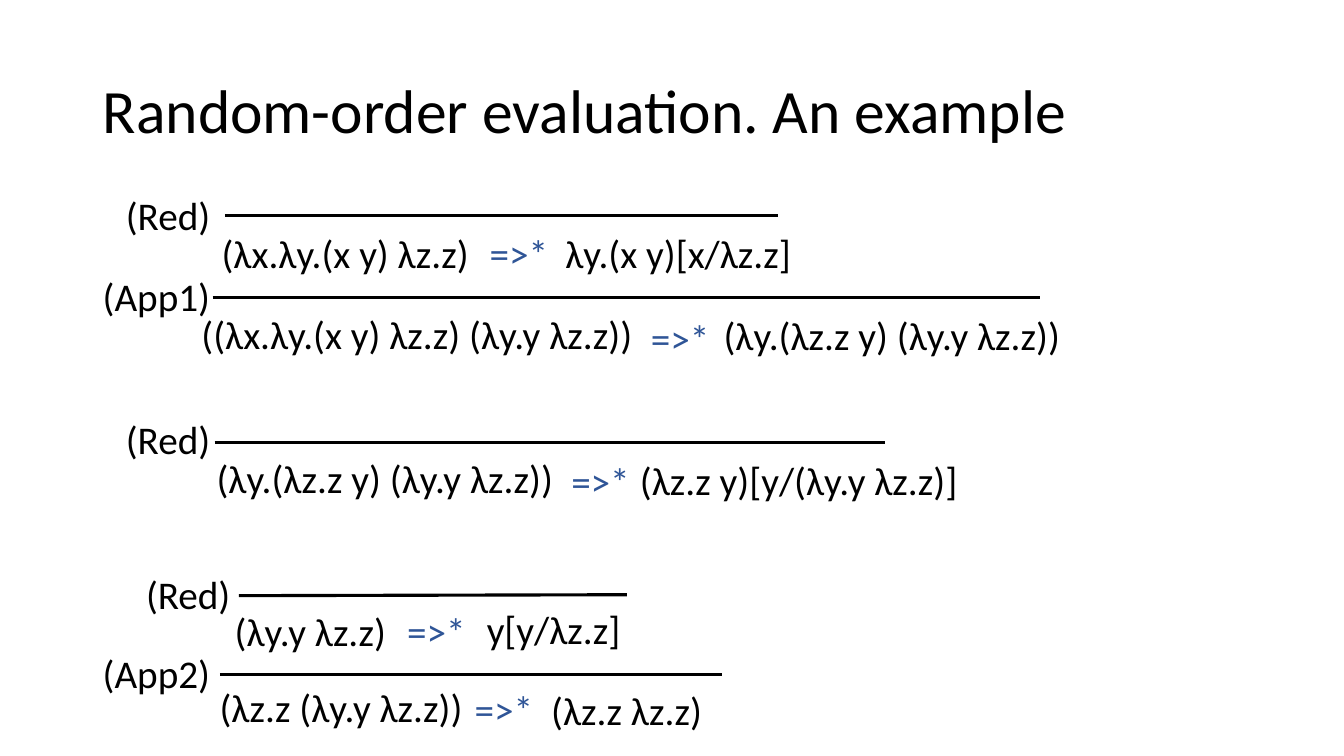
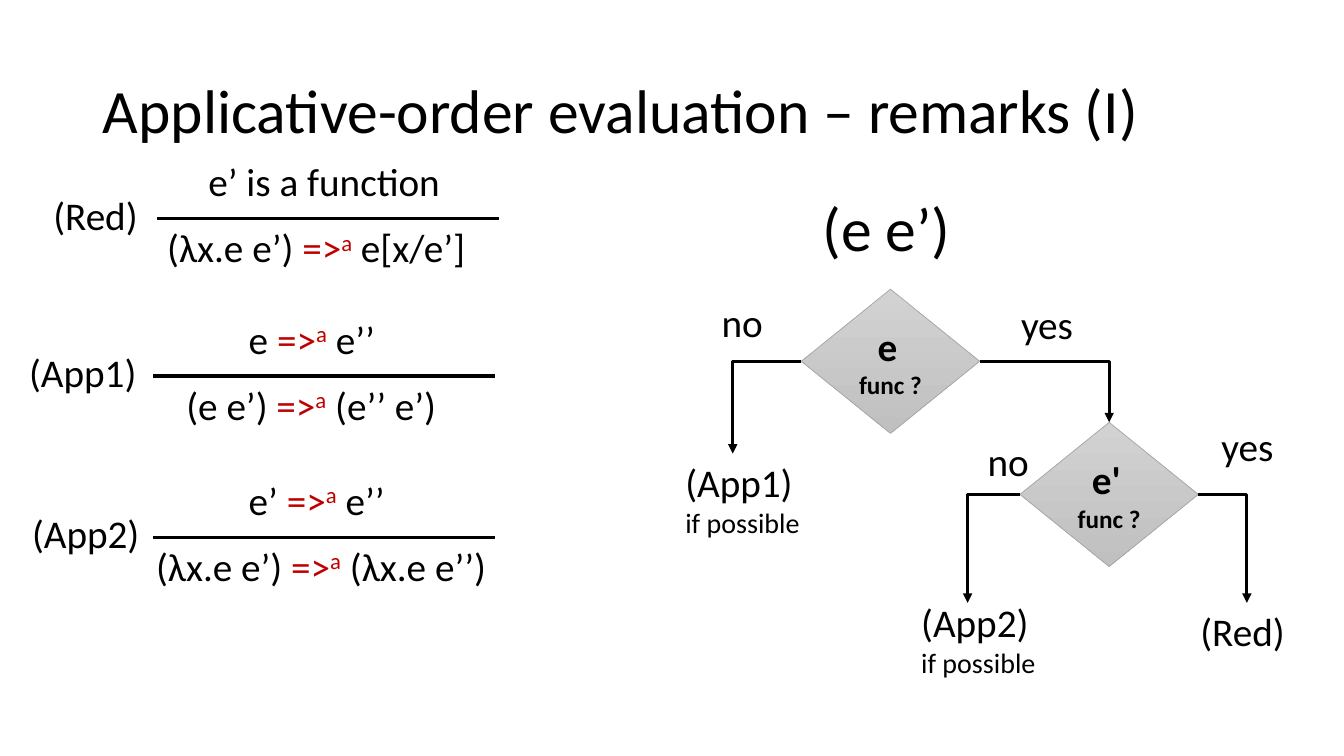
from pptx import Presentation
from pptx.dml.color import RGBColor
from pptx.enum.shapes import MSO_CONNECTOR, MSO_SHAPE
from pptx.enum.text import MSO_ANCHOR, MSO_AUTO_SIZE, PP_ALIGN
from pptx.oxml.ns import qn
from pptx.util import Pt
from lxml import etree

LEFT, CENTER = PP_ALIGN.LEFT, PP_ALIGN.CENTER
MIDDLE, GROW = MSO_ANCHOR.MIDDLE, MSO_AUTO_SIZE.SHAPE_TO_FIT_TEXT
STRAIGHT, ELBOW = MSO_CONNECTOR.STRAIGHT, MSO_CONNECTOR.ELBOW
TITLE_ONLY = 5
TOP_SITE, LEFT_SITE, RIGHT_SITE = 0, 1, 3


class Theme:
    font = "Calibri"
    ink, blue, red = "000000", "2F5597", "C00000"
    fill_top, fill_bottom, outline = "D2D2D2", "C0C0C0", "A5A5A5"
    title, body, note, small = 44, 28, 20, 18
    rule = 2.25
    title_box = (66.24, 28.8, 828, 104.4)
    line_height = 41.04


# ---- Content: all positions in points ----
RANDOM_TITLE = "Random-order evaluation. An example"
# (label, x, y), (bar x1, y1, x2, y2), (redex, x, y, w), (arrow x, y), (result, x, y, w)
DERIVATION = [
    (("(Red)", 82.8, 133.2), (160.6, 154.1, 555.8, 154.1),
     ("(λx.λy.(x y) λz.z)", 151.2, 160.6, 198), (342.7, 160.6),
     ("λy.(x y)[x/λz.z]", 396.7, 160.6, 198)),
    (("(App1)", 66.24, 190.8), (151.9, 212.4, 743, 212.4),
     ("((λx.λy.(x y) λz.z) (λy.y λz.z))", 136.8, 218.2, 328.3), (457.9, 221),
     ("(λy.(λz.z y) (λy.y λz.z))", 509.8, 218.9, 328.3)),
    (("(Red)", 82.8, 293), (153.4, 316.1, 632.2, 316.1),
     ("(λy.(λz.z y) (λy.y λz.z))", 147.6, 321.1, 277.2), (401, 323.3),
     ("(λz.z y)[y/(λy.y λz.z)]", 450, 322.6, 328.3)),
    (("(Red)", 97.2, 403.9), (170.6, 425.5, 447.8, 424.8),
     ("(λy.y λz.z)", 160.6, 430.6, 328.3), (283.7, 430.6),
     ("y[y/λz.z]", 340.6, 429.1, 115.9)),
    (("(App2)", 66.24, 460.1), (157, 481.7, 515.5, 481.7),
     ("(λz.z (λy.y λz.z))", 149.8, 484.6, 328.3), (331.9, 486),
     ("(λz.z λz.z)", 386.6, 486.7, 128.9)),
]
LABEL_W, ARROW_W = 106.6, 57.6

REMARKS_TITLE = "Applicative-order evaluation – remarks (I)"
# (label, x, w), (bar x, y), (premise, x, w), (conclusion, x, w)
# A formula is (left, right) around the step arrow, or one text.
RULES = [
    (("(Red)", 31, 87.8), (112.3, 156.2),
     (("e’ is a function",), 141.8, 185), (("(λx.e e’) ", " e[x/e’]"), 112.3, 260.6)),
    (("(App1)", 13.7, 116.6), (109.4, 268.6),
     (("e ", " e’’"), 170.6, 118.8), (("(e e’) ", " (e’’ e’)"), 126, 203)),
    (("(App2)", 15.8, 116.6), (109.4, 383.8),
     (("e’ ", " e’’"), 170.6, 118.8), (("(λx.e e’) ", " (λx.e e’’)"), 104.4, 286.6)),
]
BAR_W, LABEL_RISE, PREMISE_RISE = 244.1, 23.2, 47

# (text, x, y)
DECISIONS = [("e", 572.4, 206.6), ("e'", 728.6, 301.7)]
DECISION_W, DECISION_H = 127.4, 103
# (decision, answer site, end x, end y) and the branch captions (text, x, y, w)
BRANCHES = [(0, LEFT_SITE, 523.4, 324), (1, LEFT_SITE, 691.2, 430.6),
            (1, RIGHT_SITE, 890.6, 430.6)]
ANSWERS = [("no", 508.3, 209.5, 47.5), ("yes", 722.2, 211, 58.3),
           ("no", 698.4, 308.9, 47.5), ("yes", 865.4, 298.1, 58.3)]
OUTCOMES = [("(App1)", "if possible", 482.4, 324, 116.6),
            ("(App2)", "if possible", 650.9, 424.1, 116.6),
            ("(Red)", None, 850.3, 430.6, 80.6)]


# ---- Helpers ----
def rgb(value):
    return RGBColor.from_string(value)


def add_run(p, text, size=Theme.body, color=Theme.ink, bold=False, raised=False):
    r = p.add_run()
    r.text = text
    for name, value in {"name": Theme.font, "size": Pt(size), "bold": bold}.items():
        setattr(r.font, name, value)
    r.font.color.rgb = rgb(color)
    if raised:
        r._r.get_or_add_rPr().set("baseline", "30000")


def add_text(s, paragraphs, x, y, w, h=Theme.line_height):
    """Each paragraph is a list of (text, format dict) runs."""
    sp = s.shapes.add_textbox(Pt(x), Pt(y), Pt(w), Pt(h))
    tf = sp.text_frame
    tf.word_wrap, tf.auto_size = True, GROW
    for i, runs in enumerate(paragraphs):
        p = tf.add_paragraph() if i else tf.paragraphs[0]
        for text, style in runs:
            add_run(p, text, **style)


def add_line(s, x1, y1, x2, y2, kind=STRAIGHT):
    c = s.shapes.add_connector(kind, Pt(x1), Pt(y1), Pt(x2), Pt(y2))
    c.line.color.rgb = rgb(Theme.ink)
    c.line.width = Pt(Theme.rule)
    etree.SubElement(c._element.spPr, qn("a:effectLst"))
    return c


def add_bent_arrow(s, decision, site, x, y):
    start_x = decision.left.pt + (decision.width.pt if site == RIGHT_SITE else 0)
    c = add_line(s, start_x, decision.top.pt + decision.height.pt / 2, x, y, ELBOW)
    c._element.spPr.find(qn("a:prstGeom")).set("prst", "bentConnector2")
    etree.SubElement(c.line._get_or_add_ln(), qn("a:tailEnd"), type="triangle")
    c.begin_connect(decision, site)
    return c


def add_decision(s, text, x, y):
    sp = s.shapes.add_shape(MSO_SHAPE.DIAMOND, Pt(x), Pt(y), Pt(DECISION_W), Pt(DECISION_H))
    sp.shadow.inherit = False
    sp.fill.gradient()
    sp.fill.gradient_angle = 270
    for stop, color in zip(sp.fill.gradient_stops, (Theme.fill_top, Theme.fill_bottom)):
        stop.color.rgb = rgb(color)
    sp.line.color.rgb = rgb(Theme.outline)
    sp.line.width = Pt(0.5)
    tf = sp.text_frame
    tf.word_wrap, tf.vertical_anchor = True, MIDDLE
    p = tf.paragraphs[0]
    add_run(p, text, bold=True)
    add_run(p, " ", Theme.small, bold=True)
    question = tf.add_paragraph()
    add_run(question, "func ?", Theme.small, bold=True)
    p.alignment = question.alignment = CENTER
    return sp


def formula(parts):
    runs = [(part, {}) for part in parts]
    if len(parts) == 2:
        runs[1:1] = [("=>", {"color": Theme.red}),
                     ("a", {"color": Theme.red, "raised": True})]
    return [runs]


def add_slide(prs, title):
    s = prs.slides.add_slide(prs.slide_layouts[TITLE_ONLY])
    sp = s.shapes.title
    for name, value in zip(("left", "top", "width", "height"), Theme.title_box):
        setattr(sp, name, Pt(value))
    sp.text_frame.vertical_anchor = MIDDLE
    p = sp.text_frame.paragraphs[0]
    p.alignment, p.line_spacing = LEFT, 0.9
    add_run(p, title, Theme.title)
    return s


prs = Presentation()
prs.slide_width, prs.slide_height = Pt(960), Pt(540)

# ---- Slide 1: derivation ----
s = add_slide(prs, RANDOM_TITLE)
for (label, x, y), bar, redex, arrow, result in DERIVATION:
    add_text(s, [[(label, {})]], x, y, LABEL_W)
    add_line(s, *bar)
    add_text(s, [[("=>*", {"color": Theme.blue})]], *arrow, ARROW_W)
    for text, *box in (redex, result):
        add_text(s, [[(text, {})]], *box)

# ---- Slide 2: inference rules ----
s = add_slide(prs, REMARKS_TITLE)
for (label, label_x, label_w), (bar_x, y), premise, conclusion in RULES:
    add_text(s, [[(label, {})]], label_x, y - LABEL_RISE, label_w)
    add_line(s, bar_x, y, bar_x + BAR_W, y)
    for (parts, x, w), top in ((premise, y - PREMISE_RISE), (conclusion, y)):
        add_text(s, formula(parts), x, top, w)

# ---- Slide 2: decision tree ----
add_text(s, [[("(e e’)", {"size": Theme.title})]], 580.3, 131.8, 111.6, 60.5)
first, second = decisions = [add_decision(s, *d) for d in DECISIONS]
for index, site, x, y in BRANCHES:
    add_bent_arrow(s, decisions[index], site, x, y)
link = add_bent_arrow(s, first, RIGHT_SITE, second.left.pt + DECISION_W / 2, second.top.pt)
link.end_connect(second, TOP_SITE)
for text, *box in ANSWERS:
    add_text(s, [[(text, {})]], *box)
for text, note, *box in OUTCOMES:
    lines = [[(text, {})]]
    if note:
        lines.append([(note, {"size": Theme.note})])
    add_text(s, lines, *box, 65.5 if note else Theme.line_height)

prs.save("out.pptx")
